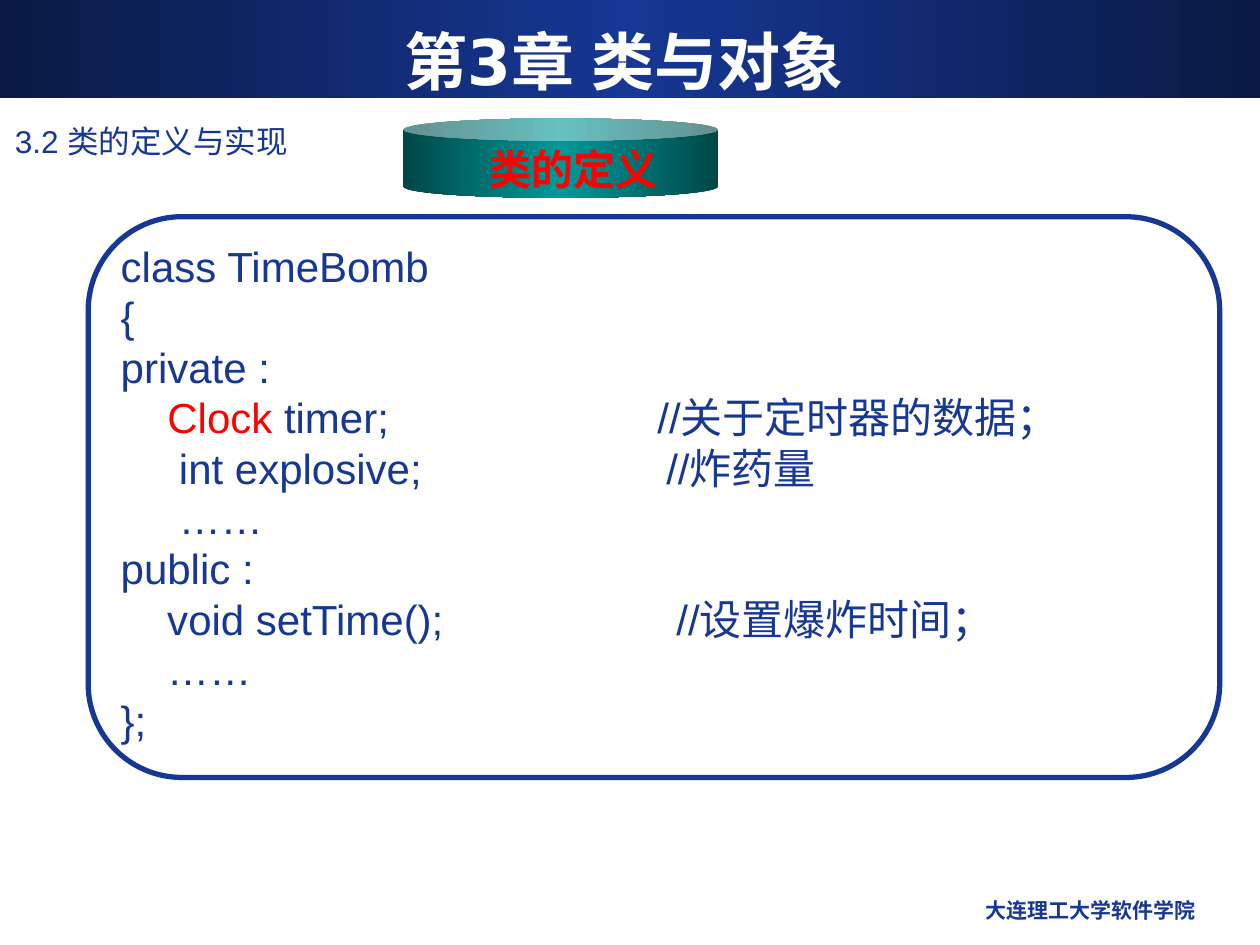
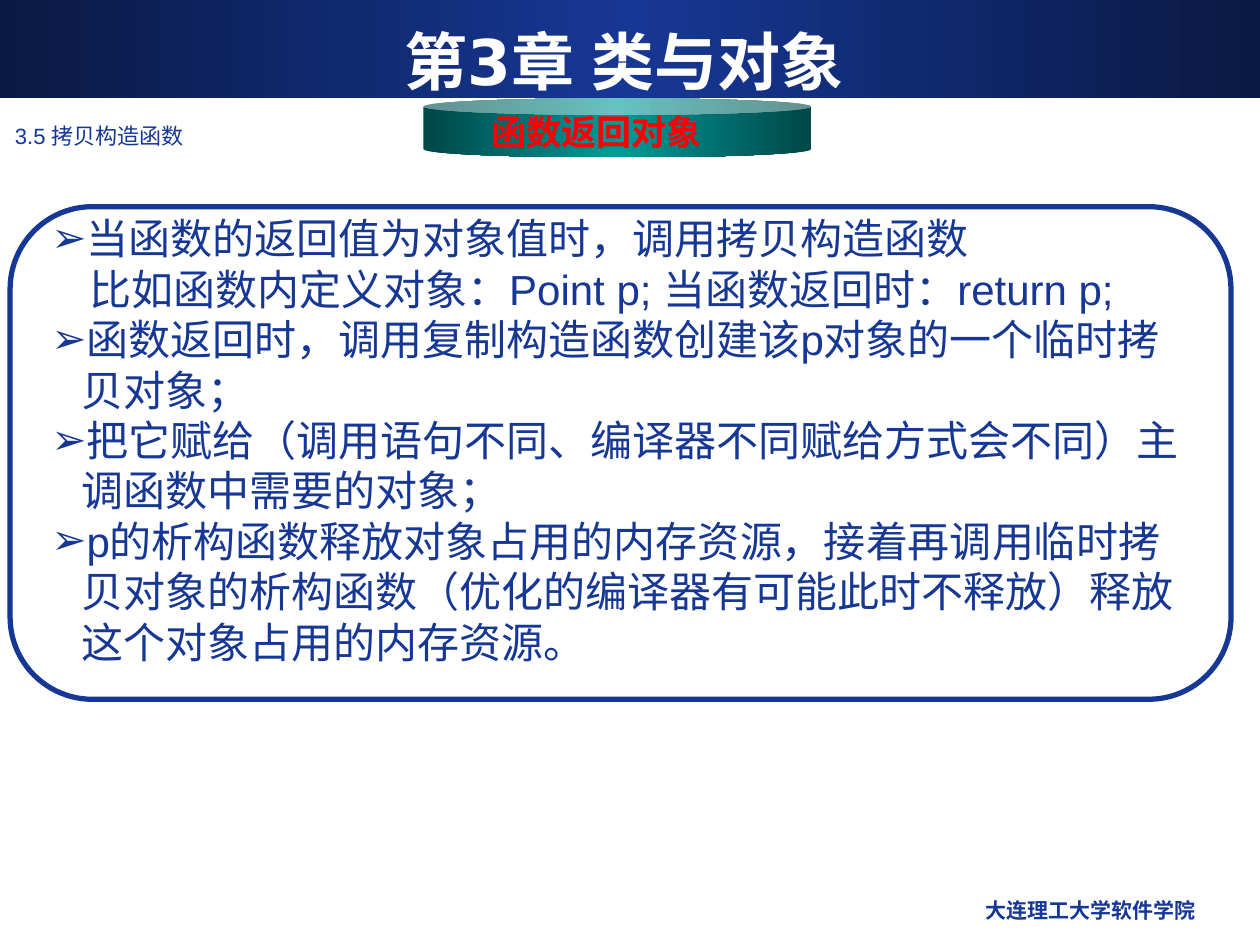
from dataclasses import dataclass
from typing import Optional

from lxml import etree
from pptx import Presentation
from pptx import util as u
from pptx.dml.color import RGBColor
from pptx.enum import shapes, text
from pptx.oxml import ns

COLORS = {
    "navy": "163794",
    "navy_dark": "0A1944",
    "teal": "009999",
    "teal_dark": "004747",
    "red": "FF0000",
    "white": "FFFFFF",
}
BODY_FONT = "Arial"
HEAD_FONT = "DejaVu Sans"
CHAPTER = "第3章 类与对象"
SCHOOL = "大连理工大学软件学院"
LINE_HEIGHT = 0.4
BULLET_INDENT = 0.24


@dataclass
class Box:
    left: float
    top: float
    width: float
    height: float

    def lengths(self) -> tuple:
        return tuple(u.Inches(v) for v in (self.left, self.top, self.width, self.height))


@dataclass
class Style:
    size: float
    color: str = "navy"
    bold: bool = False
    font: str = BODY_FONT


@dataclass
class Line:
    """One body paragraph: its runs, with an optional bullet and indent."""
    runs: list
    bullet: Optional[str] = None
    indent: float = 0


@dataclass
class Comment:
    """A code comment beside the given row of the listing."""
    row: int
    left: float
    words: str


BODY = Style(24)
KEYWORD = Style(24, "red")
TITLE = Style(36, "white", True, HEAD_FONT)
FOOTER = Style(12, bold=True, font=HEAD_FONT)


def rgb(color: str) -> RGBColor:
    return RGBColor.from_string(COLORS[color])


def sub(parent, tag: str, **attributes):
    return etree.SubElement(parent, ns.qn(tag), **attributes)


# Text
def add_run(paragraph, words: str, style: Style) -> None:
    run = paragraph.add_run()
    run.text = words
    font = run.font
    font.size, font.bold, font.name = u.Pt(style.size), style.bold, style.font
    font.color.rgb = rgb(style.color)
    sub(font._element, "a:ea", typeface=BODY_FONT)


def add_text(slide, box: Box, words: str, style: Style, align=text.PP_ALIGN.LEFT,
             wrap: bool = True) -> None:
    frame = slide.shapes.add_textbox(*box.lengths()).text_frame
    frame.word_wrap = wrap
    frame.paragraphs[0].alignment = align
    add_run(frame.paragraphs[0], words, style)


def add_body(slide, box: Box, lines: list) -> None:
    frame = slide.shapes.add_textbox(*box.lengths()).text_frame
    frame.word_wrap = True
    for number, line in enumerate(lines):
        paragraph = frame.add_paragraph() if number else frame.paragraphs[0]
        paragraph.line_spacing = u.Pt(LINE_HEIGHT * 72)
        props = paragraph._p.get_or_add_pPr()
        props.set("marL", str(u.Inches(line.indent)))
        props.set("indent", str(-u.Inches(line.indent) if line.bullet else 0))
        if line.bullet:
            sub(sub(props, "a:buClr"), "a:srgbClr", val=COLORS["navy"])
            sub(props, "a:buFont", typeface=BODY_FONT)
            sub(props, "a:buChar", char=line.bullet)
        else:
            sub(props, "a:buNone")
        for words, style in line.runs:
            add_run(paragraph, words, style)


# Shapes
def add_gradient_shape(slide, kind, box: Box, edge: str, middle: str):
    shape = slide.shapes.add_shape(kind, *box.lengths())
    shape.shadow.inherit = False
    shape.line.fill.background()
    shape.fill.gradient()
    shape.fill.gradient_angle = 0
    stops = shape._element.spPr.find(ns.qn("a:gradFill")).find(ns.qn("a:gsLst"))
    for stop in list(stops):
        stops.remove(stop)
    for position, color in ((0, edge), (50000, middle), (100000, edge)):
        sub(sub(stops, "a:gs", pos=str(position)), "a:srgbClr", val=COLORS[color])
    return shape


def add_can(slide, box: Box):
    can = add_gradient_shape(slide, shapes.MSO_SHAPE.CAN, box, "teal_dark", "teal")
    can.adjustments[0] = 0.28
    return can


def add_frame(slide, box: Box) -> None:
    frame = slide.shapes.add_shape(shapes.MSO_SHAPE.ROUNDED_RECTANGLE, *box.lengths())
    frame.shadow.inherit = False
    frame.adjustments[0] = 0.167
    frame.fill.background()
    frame.line.color.rgb = rgb("navy")
    frame.line.width = u.Pt(3)


# Shared band, chapter title, section name and footer
def add_chapter_slide(prs, section: str, section_size: float):
    slide = prs.slides.add_slide(prs.slide_layouts[5])
    band = add_gradient_shape(slide, shapes.MSO_SHAPE.RECTANGLE, Box(0, 0, 10, 0.78),
                              "navy_dark", "navy")
    slide.shapes._spTree.insert(2, band._element)

    title = slide.shapes.title
    title.left, title.top, title.width, title.height = Box(0.33, 0.17, 9.25, 0.62).lengths()
    frame = title.text_frame
    frame.margin_left = frame.margin_right = frame.margin_top = frame.margin_bottom = 0
    frame.vertical_anchor = text.MSO_ANCHOR.MIDDLE
    frame.auto_size = text.MSO_AUTO_SIZE.NONE
    frame.paragraphs[0].alignment = text.PP_ALIGN.CENTER
    add_run(frame.paragraphs[0], CHAPTER, TITLE)

    add_text(slide, Box(6.42, 7.07, 3.17, 0.35), SCHOOL, FOOTER, text.PP_ALIGN.RIGHT)
    add_text(slide, Box(0.02, 0.92, 9.25, 0.4), section, Style(section_size))
    return slide


def code(words: str) -> Line:
    return Line([(words, BODY)])


def point(words: str) -> Line:
    return Line([(words, BODY)], "➢", BULLET_INDENT)


def build_class_definition(prs) -> None:
    slide = add_chapter_slide(prs, "3.2 类的定义与实现", 18)
    add_frame(slide, Box(0.7, 1.72, 8.98, 4.45))
    listing = Box(0.86, 1.86, 8.34, 4.1)
    add_body(slide, listing, [
        code("class TimeBomb"),
        code("{"),
        code("private :"),
        Line([("    ", BODY), ("Clock", KEYWORD), (" timer;", BODY)]),
        code("     int explosive;"),
        code("     ……"),
        code("public :"),
        code("    void setTime();"),
        code("    ……"),
        code("};"),
    ])
    for comment in (Comment(3, 5.12, "//关于定时器的数据；"),
                    Comment(4, 5.19, "//炸药量"),
                    Comment(7, 5.27, "//设置爆炸时间；")):
        top = listing.top + comment.row * LINE_HEIGHT
        add_body(slide, Box(comment.left, top, 3.9, 0.5), [code(comment.words)])
    add_can(slide, Box(3.2, 0.94, 2.5, 0.63))
    add_text(slide, Box(3.79, 1.09, 1.53, 0.5), "类的定义", Style(24, "red", True),
             wrap=False)


def build_returned_object(prs) -> None:
    slide = add_chapter_slide(prs, "3.5 拷贝构造函数", 12.6)
    add_frame(slide, Box(0.08, 1.64, 9.69, 3.91))
    add_body(slide, Box(0.31, 1.64, 9.3, 3.7), [
        point("当函数的返回值为对象值时，调用拷贝构造函数"),
        Line([("比如函数内定义对象：Point p; 当函数返回时：return p;", BODY)], indent=0.3),
        point("函数返回时，调用复制构造函数创建该p对象的一个临时拷贝对象；"),
        point("把它赋给（调用语句不同、编译器不同赋给方式会不同）主调函数中需要的对象；"),
        point("p的析构函数释放对象占用的内存资源，接着再调用临时拷贝对象的析构函数"
              "（优化的编译器有可能此时不释放）释放这个对象占用的内存资源。"),
    ])
    topic = add_can(slide, Box(3.36, 0.78, 3.08, 0.47)).text_frame
    topic.word_wrap = True
    topic.margin_left = u.Inches(0.54)
    topic.vertical_anchor = text.MSO_ANCHOR.MIDDLE
    topic.paragraphs[0].alignment = text.PP_ALIGN.LEFT
    add_run(topic.paragraphs[0], "函数返回对象", Style(20, "red", True))


def main() -> None:
    prs = Presentation()
    prs.slide_width, prs.slide_height = u.Inches(10), u.Inches(7.5)
    build_class_definition(prs)
    build_returned_object(prs)
    prs.save("out.pptx")


if __name__ == "__main__":
    main()
